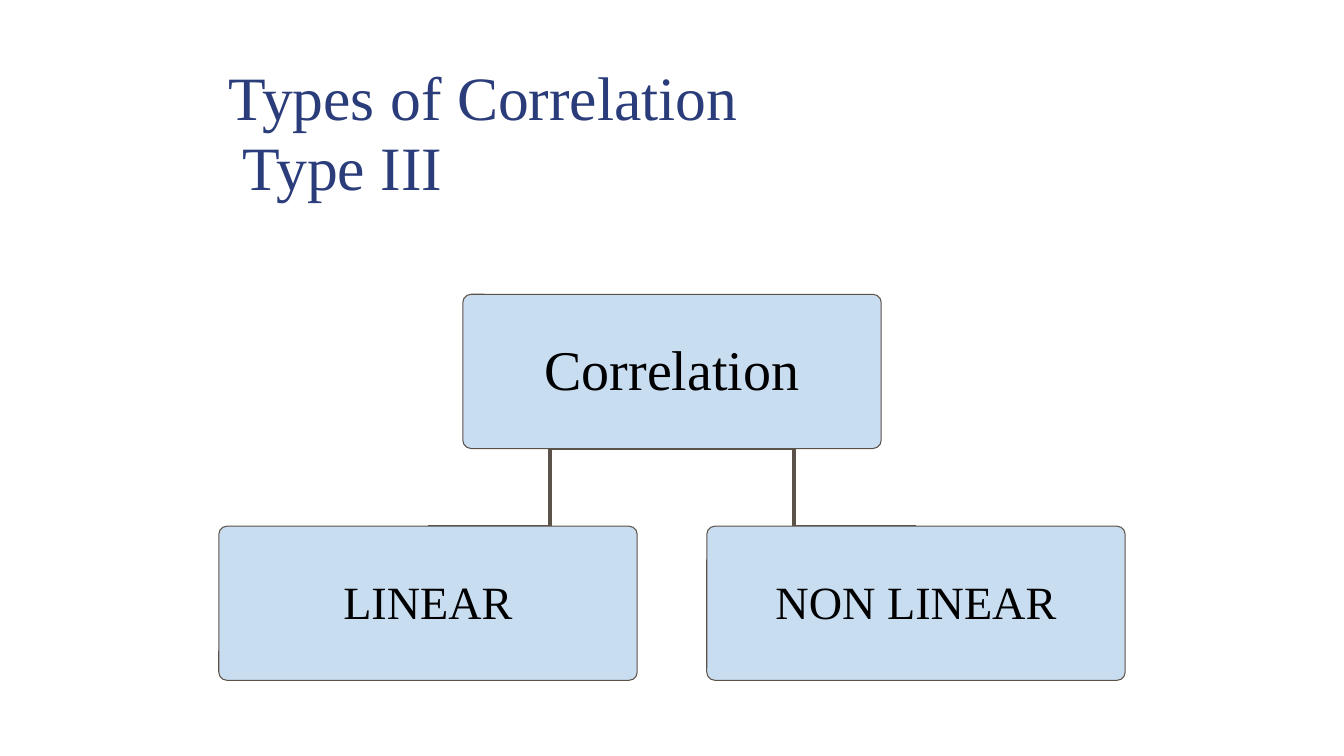
import pptx
import pptx.util
import pptx.dml.color
import pptx.enum.shapes
import pptx.enum.text
import pptx.oxml.ns
from lxml import etree

COLORS = {"title": "2A3D7A", "box": "C9DDF1", "line": "5B5249", "text": "000000"}
FONT = "Times New Roman"
WIDTH, HEIGHT = 13.33, 7.5
MID = WIDTH / 2
STEP = 2.42  # half the distance between the two child centres
BOX_W, BOX_H = 4.15, 1.53
ROOT_TOP, CHILD_TOP = 2.92, 5.22

inch = pptx.util.Inches


def rgb(name):
    return pptx.dml.color.RGBColor.from_string(COLORS[name])


def style(para, size, color):
    para.line_spacing = 0.95
    para.font.name = FONT
    para.font.size = pptx.util.Pt(size)
    para.font.color.rgb = rgb(color)


def add_title(slide, text):
    box = slide.shapes.add_textbox(inch(2.17), inch(0.57), inch(9), inch(1.51))
    frame = box.text_frame
    frame.word_wrap = True
    frame.vertical_anchor = pptx.enum.text.MSO_ANCHOR.BOTTOM
    para = frame.paragraphs[0]
    para.text = text
    style(para, 44, "title")


def add_link(slide, mid):
    """Join the top of the child centred at mid to the foot of the root."""
    link = slide.shapes.add_connector(
        pptx.enum.shapes.MSO_CONNECTOR.ELBOW,
        inch(mid), inch(CHILD_TOP), inch(MID), inch(ROOT_TOP + BOX_H))
    link.line.color.rgb = rgb("line")
    link.line.width = pptx.util.Pt(2.25)
    props = link._element.spPr
    etree.SubElement(props, pptx.oxml.ns.qn("a:effectLst"))


def add_box(slide, mid, top, text, size):
    box = slide.shapes.add_shape(
        pptx.enum.shapes.MSO_SHAPE.ROUNDED_RECTANGLE,
        inch(mid - BOX_W / 2), inch(top), inch(BOX_W), inch(BOX_H))
    box.adjustments[0] = 0.054
    box.shadow.inherit = False
    box.fill.solid()
    box.fill.fore_color.rgb = rgb("box")
    box.line.color.rgb = rgb("line")
    box.line.width = pptx.util.Pt(0.75)
    frame = box.text_frame
    frame.word_wrap = True
    frame.vertical_anchor = pptx.enum.text.MSO_ANCHOR.MIDDLE
    para = frame.paragraphs[0]
    para.text = text
    para.alignment = pptx.enum.text.PP_ALIGN.CENTER
    style(para, size, "text")


def main():
    deck = pptx.Presentation()
    deck.slide_width, deck.slide_height = inch(WIDTH), inch(HEIGHT)
    slide = deck.slides.add_slide(deck.slide_layouts[6])
    add_title(slide, "Types of Correlation\v Type III")
    kids = {"LINEAR": MID - STEP, "NON LINEAR": MID + STEP}
    for mid in kids.values():
        add_link(slide, mid)
    add_box(slide, MID, ROOT_TOP, "Correlation", 40)
    for text, mid in kids.items():
        add_box(slide, mid, CHILD_TOP, text, 33)
    deck.save("out.pptx")


if __name__ == "__main__":
    main()
